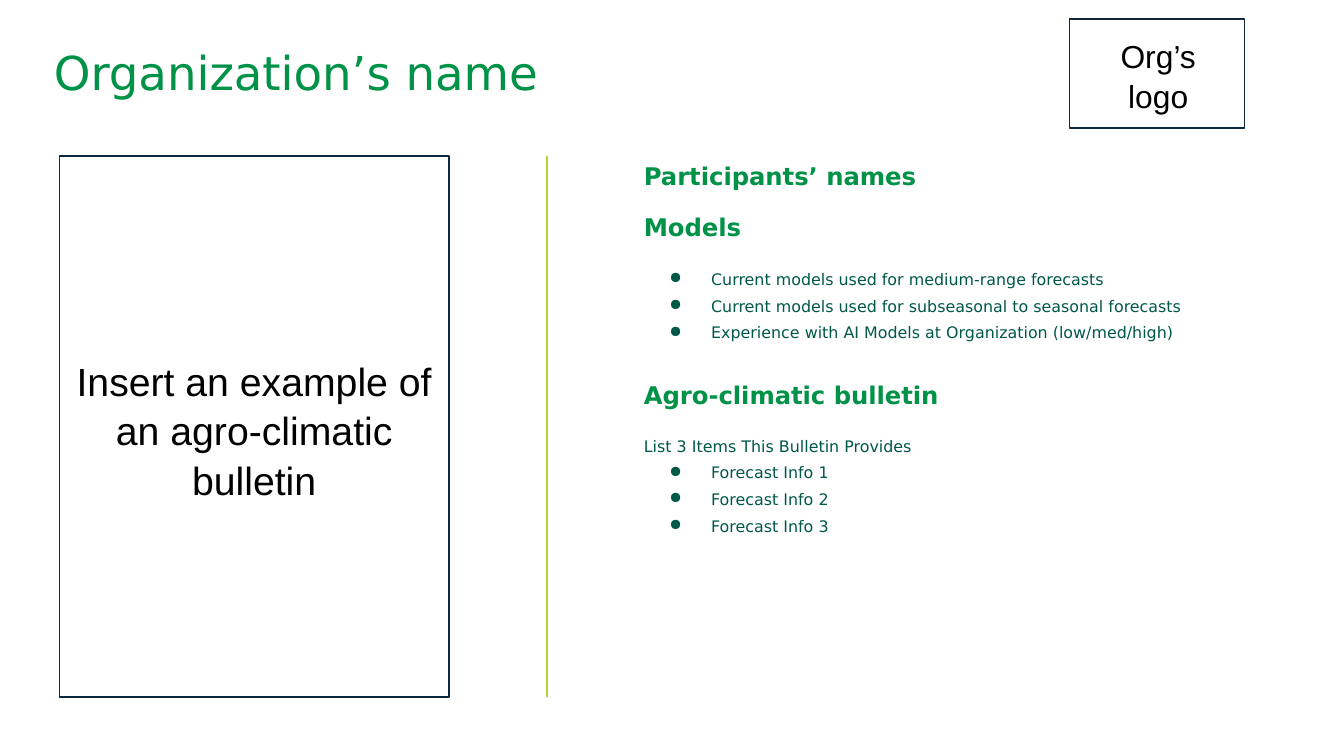
from lxml.etree import SubElement
from pptx import Presentation
from pptx.dml.color import RGBColor
from pptx.enum.shapes import MSO_CONNECTOR as Connector, MSO_SHAPE as Shape
from pptx.enum.text import PP_ALIGN as Align
from pptx.oxml.ns import qn
from pptx.util import Cm, Pt

COLORS = {
    "green": "009247",
    "dark_green": "005849",
    "lime": "B2D235",
    "navy": "0E2841",
    "black": "000000",
}
HEADING_FONT, LABEL_FONT = "DejaVu Sans", "Arial"


class SlideBuilder:
    """Holds the slide being drawn and its shared style."""

    line_width = Pt(0.75)
    bullet_margin, bullet_hang = Cm(1.27), Cm(0.79)

    def __init__(self, slide):
        self.shapes = slide.shapes

    def color(self, name):
        return RGBColor.from_string(COLORS[name])

    def frame(self, left, top, width, height):
        box = self.shapes.add_shape(Shape.RECTANGLE, Cm(left), Cm(top), Cm(width), Cm(height))
        box.shadow.inherit = False
        box.fill.background()
        box.line.color.rgb = self.color("navy")
        box.line.width = self.line_width

    def divider(self, x, top, bottom):
        line = self.shapes.add_connector(Connector.STRAIGHT, Cm(x), Cm(top), Cm(x), Cm(bottom))
        line.line.color.rgb = self.color("lime")
        line.line.width = self.line_width
        SubElement(line._element.spPr, qn("a:effectLst"))

    def text(self, left, top, width, height, lines, size, color="green",
             font=HEADING_FONT, bold=False, spacing=None, align=Align.LEFT,
             insets=(0.18, 0.1)):
        """Add a text box with one paragraph per line; return its paragraphs."""
        box = self.shapes.add_textbox(Cm(left), Cm(top), Cm(width), Cm(height))
        frame = box.text_frame
        frame.word_wrap = True
        frame.margin_left = frame.margin_right = Cm(insets[0])
        frame.margin_top = frame.margin_bottom = Cm(insets[1])
        frame.text = "\n".join(lines)
        for para in frame.paragraphs:
            para.alignment = align
            para.line_spacing = spacing
            para.font.name = font
            para.font.size = Pt(size)
            para.font.bold = bold
            para.font.color.rgb = self.color(color)
        return frame.paragraphs

    def heading(self, left, top, text):
        self.text(left, top, 6.15, 0.74, [text], 13, bold=True)

    def label(self, left, top, width, height, text, size):
        self.text(left, top, width, height, [text], size, "black", LABEL_FONT,
                  spacing=1.05, align=Align.CENTER, insets=(0.25, 0.25))

    def bullet_list(self, left, top, width, height, items, intro=None):
        lines = [intro, *items] if intro else items
        paras = self.text(left, top, width, height, lines, 8.5, "dark_green", spacing=1.4)
        for para in paras[-len(items):]:
            props = para._p.get_or_add_pPr()
            props.set("marL", str(self.bullet_margin))
            props.set("indent", str(-self.bullet_hang))
            bullet_color = SubElement(props, qn("a:buClr"))
            SubElement(bullet_color, qn("a:srgbClr"), val=COLORS["dark_green"])
            SubElement(props, qn("a:buChar"), char="●")
            # The run defaults must follow the bullet settings in the schema order.
            defaults = props.find(qn("a:defRPr"))
            if defaults is not None:
                props.append(defaults)


def main():
    deck = Presentation()
    deck.slide_width, deck.slide_height = Cm(25.4), Cm(14.28)
    builder = SlideBuilder(deck.slides.add_slide(deck.slide_layouts[6]))
    column = 11.99

    builder.text(0.84, 0.73, 14.81, 1.47, ["Organization’s name"], 25)
    builder.frame(20.21, 0.36, 3.31, 2.06)
    builder.label(20.47, 0.41, 2.84, 1.96, "Org’s logo", 17)

    builder.frame(1.12, 2.95, 7.37, 10.22)
    builder.label(1.12, 6.45, 7.37, 3.2, "Insert an example of an agro-climatic bulletin", 21)
    builder.divider(10.34, 2.95, 13.17)

    builder.heading(column, 2.95, "Participants’ names")
    builder.heading(column, 3.91, "Models")
    builder.bullet_list(column, 4.85, 11.46, 1.57, [
        "Current models used for medium-range forecasts",
        "Current models used for subseasonal to seasonal forecasts",
        "Experience with AI Models at Organization (low/med/high)",
    ])
    builder.heading(column, 7.09, "Agro-climatic bulletin")
    builder.bullet_list(column, 8, 6.88, 2.08,
                        [f"Forecast Info {number}" for number in range(1, 4)],
                        intro="List 3 Items This Bulletin Provides")
    deck.save("out.pptx")


if __name__ == "__main__":
    main()
